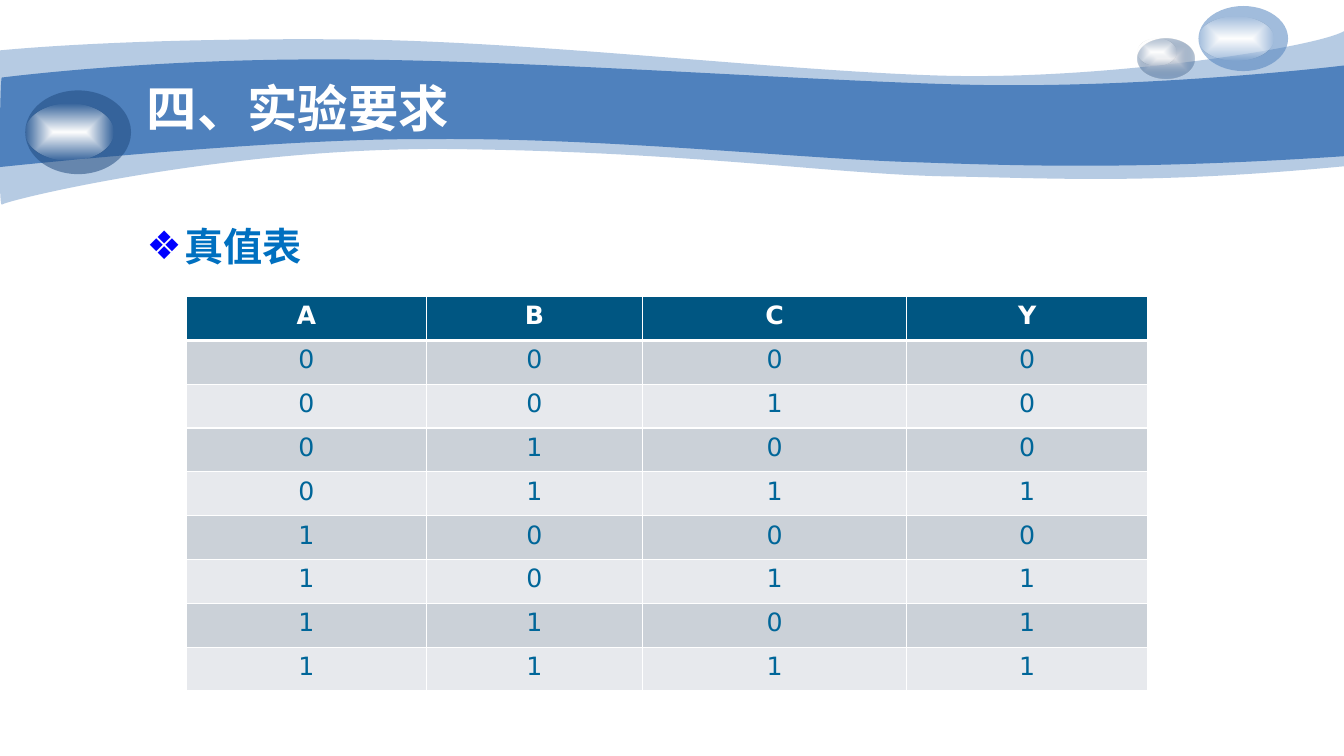
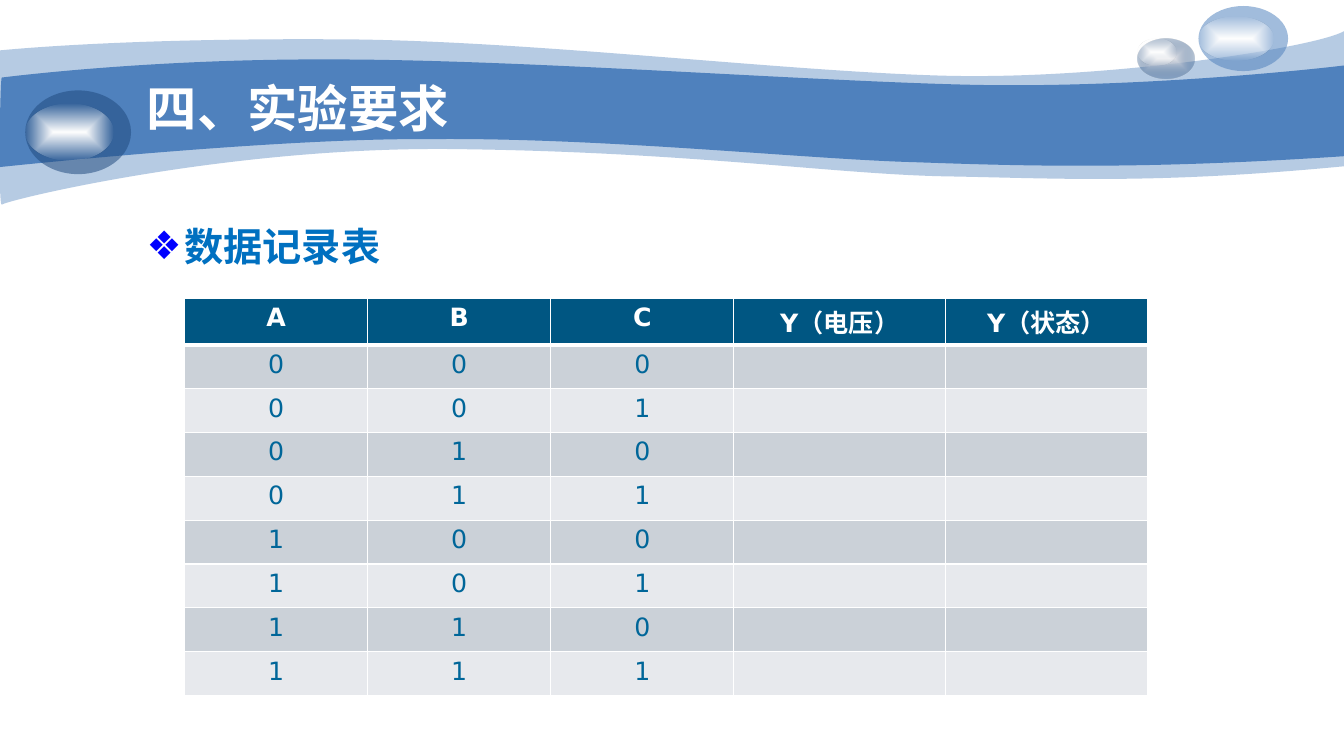
"""Build two slides on a wave-banner layout, each with a heading and a logic table."""
from itertools import product

from lxml.etree import SubElement
from pptx import Presentation
from pptx.dml.color import RGBColor
from pptx.enum.shapes import MSO_SHAPE
from pptx.enum.text import MSO_ANCHOR, MSO_AUTO_SIZE, PP_ALIGN
from pptx.oxml.ns import qn
from pptx.util import Pt

BLUE, NAVY, WHITE = "4F81BD", "1F497D", "FFFFFF"
HEADER, BANDS, DIGIT = "005682", ("CBD1D8", "E7E9ED"), "006699"
HEADING, BULLET = "0070C0", "0000FF"
SERIF, SANS = "Times New Roman", "DejaVu Sans"
GLOW = [(WHITE, 100), (WHITE, 0)]

TITLE_BOX = (97.6, 54.7, 324, 44.6)
BODY_BOX = (97.6, 155.5, 780, 46)

WAVES = [
    ([(BLUE, 41)], (0, 36), [
        [(23, 33.8), (103, 27.4), (236.9, 28.1)],
        [(370, 28.1), (552.2, 50.4), (671, 54)],
        [(789.1, 57.6), (940.3, 33.8), (960, 22.3)],
        [(960, 118.8)],
        [(823.7, 131.8), (756, 127.4), (676.1, 126)],
        [(596.9, 124.6), (494.6, 108.7), (329.8, 106.6)],
        [(164.9, 103.7), (3.6, 143.3), (1.4, 146.2)],
        [(-1.4, 149.8), (0, 54), (0, 36)]]),
    ([(BLUE, 100)], (1.4, 55.4), [
        [(2.2, 55.4), (105.1, 41.8), (238.3, 42.5)],
        [(370.8, 42.5), (571.7, 57.6), (689.8, 60.5)],
        [(807.8, 63.4), (936.7, 49.7), (960, 46.8)],
        [(960, 111.6)],
        [(818.6, 121), (735.1, 118.8), (654.5, 115.9)],
        [(575.3, 113.8), (429.1, 97.9), (304.6, 99.4)],
        [(195.1, 98.6), (-2.2, 119.5), (-1.4, 119.5)],
        [(0, 119.5), (0, 55.4), (1.4, 55.4)]]),
]

BUBBLES = [
    [((812.9, 27.4, 40.6, 28.5), [("E1E2E7", 100), (NAVY, 31)]),
     ((812.9, 27.4, 27.4, 19.4), GLOW)],
    [((856.1, 4.3, 64, 46.5), [(BLUE, 53)]),
     ((856.1, 12.2, 53.3, 31), GLOW)],
    [((18, 64.6, 75.6, 59.8), [(NAVY, 53)]),
     ((18, 74.2, 63, 40.3), GLOW)],
]

TITLE = "四、实验要求"
INPUTS = list(product("01", repeat=3))
SLIDES = [
    dict(heading="真值表", at=(132.8, 211.8), cols=(172, 154, 189, 172), header_height=31.4,
         head=("A", "B", "C", "Y"),
         rows=[(*bits, y) for bits, y in zip(INPUTS, "00010111")]),
    dict(heading="数据记录表", at=(131.8, 213.1), cols=(130.8, 130.8, 130.8, 151.2, 144.4),
         header_height=32.5, head=("A", "B", "C", "Y（电压）", "Y（状态）"),
         rows=[(*bits, "", "") for bits in INPUTS]),
]
ROW_HEIGHT = 31.3


def rgb(value):
    return RGBColor.from_string(value)


def place(sp, box):
    sp.left, sp.top, sp.width, sp.height = map(Pt, box)


def add_run(p, text, font, size, color, bold=True):
    r = p.add_run()
    r.text = text
    r.font.name, r.font.size, r.font.bold = font, Pt(size), bold
    r.font.color.rgb = rgb(color)


def add_color(parent, color, alpha=100):
    clr = SubElement(parent, qn("a:srgbClr"), val=color)
    if alpha < 100:
        SubElement(clr, qn("a:alpha"), val=str(alpha * 1000))


def paint(sp, stops):
    sp.shadow.inherit = False
    sp.line.fill.background()
    sp.fill.background()
    fill = sp.element.spPr.find(qn("a:noFill"))
    if len(stops) == 1:
        solid = SubElement(sp.element.spPr, qn("a:solidFill"))
        add_color(solid, *stops[0])
        fill.getparent().replace(fill, solid)
        return
    grad = SubElement(sp.element.spPr, qn("a:gradFill"), rotWithShape="1")
    gs_list = SubElement(grad, qn("a:gsLst"))
    for pos, stop in zip((0, 100000), stops):
        add_color(SubElement(gs_list, qn("a:gs"), pos=str(pos)), *stop)
    shade = SubElement(grad, qn("a:path"), {"path": "shape"})
    SubElement(shade, qn("a:fillToRect"), {side: "50000" for side in "ltrb"})
    fill.getparent().replace(fill, grad)


def add_wave(shapes, stops, start, segments):
    """Outline the control points, then turn each three of them into one Bezier curve."""
    unit = 100
    fb = shapes.build_freeform(start[0] * unit, start[1] * unit, scale=Pt(1 / unit))
    fb.add_line_segments([(x * unit, y * unit) for seg in segments for x, y in seg])
    sp = fb.convert_to_shape()
    lines = iter(list(sp.element.iter(qn("a:lnTo"))))
    for seg in segments:
        steps = [next(lines) for _ in seg]
        if len(steps) == 3:
            outline = steps[0].getparent()
            curve = SubElement(outline, qn("a:cubicBezTo"))
            outline.replace(steps[0], curve)
            for step in steps:
                curve.append(step[0])
            for step in steps[1:]:
                outline.remove(step)
    paint(sp, stops)
    return sp


def add_bubble(shapes, ovals):
    group = shapes.add_group_shape()
    for box, stops in ovals:
        paint(group.shapes.add_shape(MSO_SHAPE.OVAL, *map(Pt, box)), stops)
    return group


def style_layout(layout, shapes):
    """Draw the banner through a slide's shapes and move it behind the layout's placeholders."""
    decor = [add_wave(shapes, *wave) for wave in WAVES]
    decor += [add_bubble(shapes, ovals) for ovals in BUBBLES]
    for i, sp in enumerate(decor):
        layout.shapes.element.insert(2 + i, sp.element)
    for ph, box in zip(layout.placeholders, (TITLE_BOX, BODY_BOX)):
        place(ph, box)


def fill_title(tf):
    tf.vertical_anchor, tf.auto_size = MSO_ANCHOR.MIDDLE, MSO_AUTO_SIZE.NONE
    p = tf.paragraphs[0]
    p.alignment = PP_ALIGN.LEFT
    add_run(p, TITLE, SERIF, 36, WHITE)


def fill_heading(tf, text):
    tf.auto_size = MSO_AUTO_SIZE.NONE
    p = tf.paragraphs[0]
    add_run(p, text, SERIF, 28, HEADING)
    pPr = p._p.get_or_add_pPr()
    pPr.set("marL", str(Pt(27)))
    pPr.set("indent", str(Pt(-27)))
    add_color(SubElement(pPr, qn("a:buClr")), BULLET)
    SubElement(pPr, qn("a:buChar"), char="❖")


def add_borders(cell, row):
    tcPr = cell._tc.get_or_add_tcPr()
    widths = dict(L=1, R=1, T=3 if row == 1 else 1, B=3 if row == 0 else 1)
    for side, width in widths.items():
        ln = SubElement(tcPr, qn(f"a:ln{side}"), w=str(Pt(width)))
        add_color(SubElement(ln, qn("a:solidFill")), WHITE)


def add_logic_table(shapes, at, cols, header_height, head, rows):
    heights = [header_height] + [ROW_HEIGHT] * len(rows)
    box = (*at, sum(cols), sum(heights))
    table = shapes.add_table(len(heights), len(cols), *map(Pt, box)).table
    for col, width in zip(table.columns, cols):
        col.width = Pt(width)
    for i, (row, height, texts) in enumerate(zip(table.rows, heights, [head, *rows])):
        row.height = Pt(height)
        for cell, text in zip(row.cells, texts):
            add_borders(cell, i)
            cell.fill.solid()
            cell.fill.fore_color.rgb = rgb(BANDS[(i - 1) % 2] if i else HEADER)
            p = cell.text_frame.paragraphs[0]
            p.alignment = PP_ALIGN.CENTER
            if text:
                add_run(p, text, SANS, 18, DIGIT if i else WHITE, bold=i == 0)


def main():
    prs = Presentation()
    prs.slide_width, prs.slide_height = Pt(960), Pt(540)
    layout = prs.slide_layouts[1]
    slides = [prs.slides.add_slide(layout) for _ in SLIDES]
    style_layout(layout, slides[0].shapes)
    for slide, content in zip(slides, SLIDES):
        title, body = slide.placeholders
        fill_title(title.text_frame)
        fill_heading(body.text_frame, content["heading"])
        add_logic_table(slide.shapes, **{k: v for k, v in content.items() if k != "heading"})
    prs.save("out.pptx")


if __name__ == "__main__":
    main()
